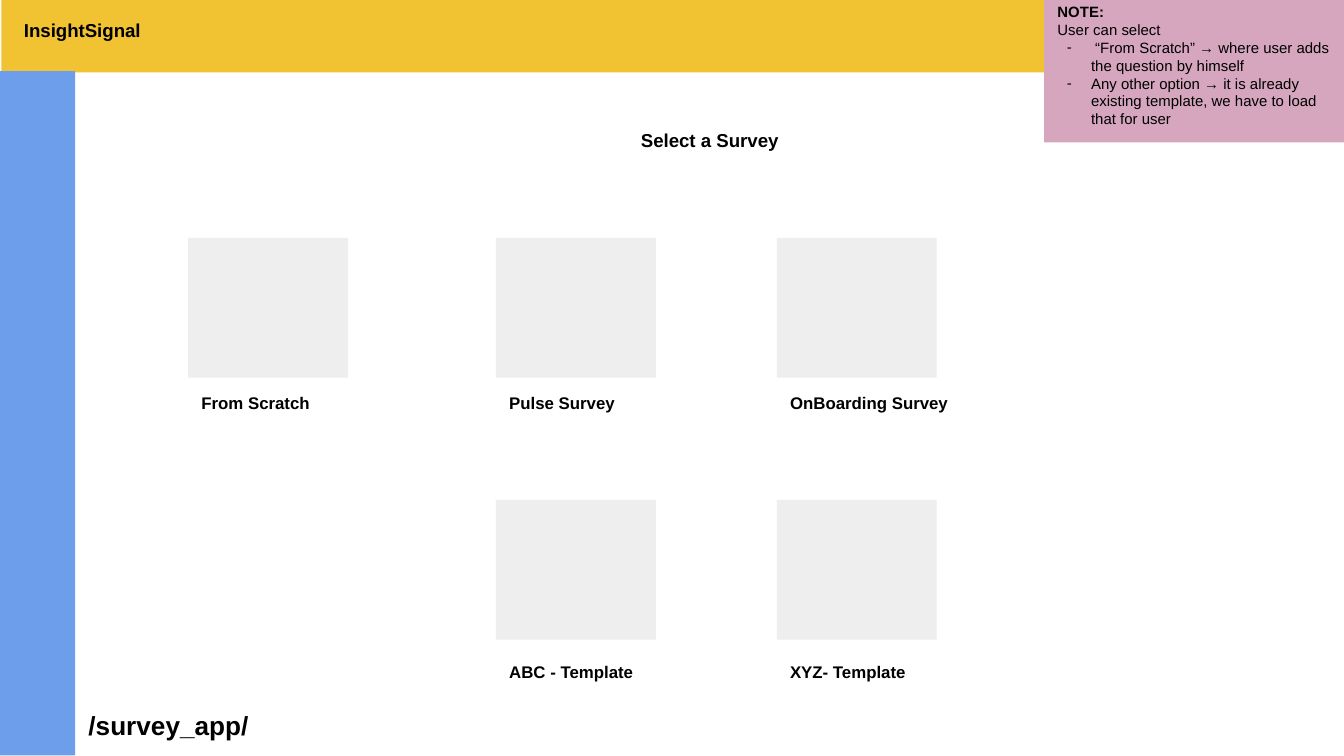
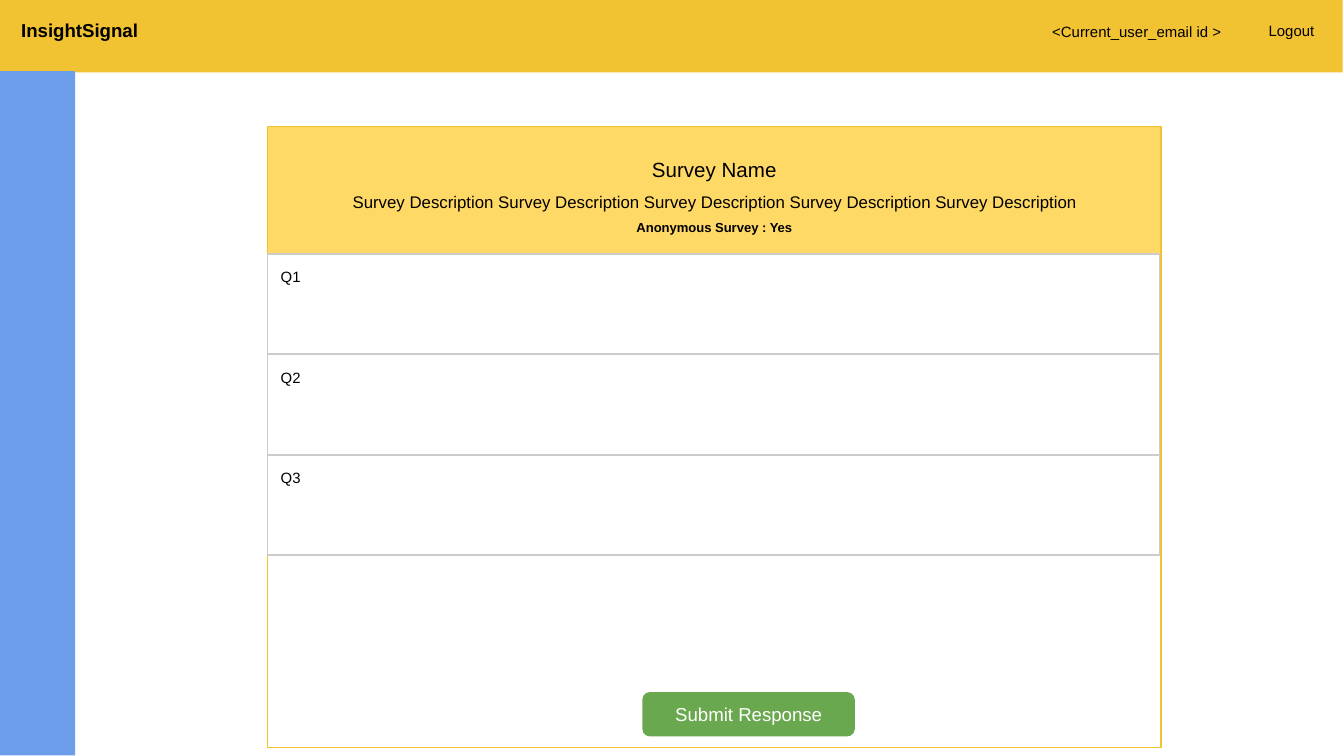
"""Build the two survey wireframe slides: template choice and response form."""
from dataclasses import dataclass

from lxml.etree import SubElement
from pptx import Presentation
from pptx.dml.color import RGBColor
from pptx.enum.shapes import MSO_SHAPE
from pptx.enum.text import MSO_ANCHOR, MSO_AUTO_SIZE, PP_ALIGN
from pptx.oxml.ns import qn
from pptx.util import Inches, Pt


@dataclass(frozen=True)
class Theme:
    font: str = "Arial"
    text: str = "000000"
    inverse_text: str = "FFFFFF"
    top_band: str = "F1C232"
    side_band: str = "6D9EEB"
    card: str = "EEEEEE"
    note: str = "D5A6BD"
    survey_header: str = "FFD966"
    question_line: str = "CCCCCC"
    button: str = "6AA84F"
    line_width: float = 0.75
    route_size: int = 14
    survey_size: int = 11
    heading_size: int = 10
    caption_size: int = 9
    body_size: int = 8
    detail_size: int = 7


@dataclass(frozen=True)
class Line:
    text: str
    size: int
    bold: bool = False
    bullet: bool = False


class SlideBuilder:
    def __init__(self, theme):
        self.theme = theme
        self.presentation = Presentation()
        self.presentation.slide_width = Inches(10)
        self.presentation.slide_height = Inches(10) * 9 // 16
        self.slide = None

    def start_slide(self):
        self.slide = self.presentation.slides.add_slide(self.presentation.slide_layouts[5])

    def add_frame(self, band_left):
        self.add_box((band_left, -0.02, 10, 0.56), fill=self.theme.top_band)
        self.add_text((band_left + 0.07, 0.04, 1.43, 0.37),
                      [Line("InsightSignal", self.theme.heading_size, bold=True)])
        self.add_box((0, 0.53, 0.56, 5.09), fill=self.theme.side_band)

    def add_box(self, box, fill=None, line=None, kind=MSO_SHAPE.RECTANGLE):
        shape = self.slide.shapes.add_shape(kind, *map(Inches, box))
        shape.shadow.inherit = False
        self.paint(shape, fill, line)
        return shape

    def paint(self, shape, fill=None, line=None):
        if fill:
            shape.fill.solid()
            shape.fill.fore_color.rgb = RGBColor.from_string(fill)
        else:
            shape.fill.background()
        if line:
            shape.line.color.rgb = RGBColor.from_string(line)
            shape.line.width = Pt(self.theme.line_width)
        else:
            shape.line.fill.background()

    def add_text(self, box, lines, **style):
        shape = self.slide.shapes.add_textbox(*map(Inches, box))
        self.set_lines(shape, lines, **style)

    def set_title(self, box, lines, fill=None, **style):
        title = self.slide.shapes.title
        title.left, title.top, title.width, title.height = map(Inches, box)
        self.paint(title, fill)
        self.set_lines(title, lines, align=PP_ALIGN.CENTER, **style)

    def set_lines(self, shape, lines, align=PP_ALIGN.LEFT, anchor=MSO_ANCHOR.TOP,
                  color=None, spacing=1.0):
        frame = shape.text_frame
        frame.word_wrap = True
        frame.auto_size = MSO_AUTO_SIZE.NONE
        frame.vertical_anchor = anchor
        frame.margin_left = frame.margin_right = Inches(0.1)
        frame.margin_top = frame.margin_bottom = Inches(0.1)
        for index, line in enumerate(lines):
            paragraph = frame.add_paragraph() if index else frame.paragraphs[0]
            paragraph.text = line.text
            paragraph.alignment = align
            paragraph.line_spacing = spacing
            if line.bullet:
                self.add_bullet(paragraph)
            paragraph.font.name = self.theme.font
            paragraph.font.size = Pt(line.size)
            paragraph.font.bold = line.bold
            paragraph.font.color.rgb = RGBColor.from_string(color or self.theme.text)

    def add_bullet(self, paragraph):
        properties = paragraph._p.get_or_add_pPr()
        properties.set("marL", str(Inches(0.25)))
        properties.set("indent", str(Inches(-0.18)))
        SubElement(properties, qn("a:buFont")).set("typeface", self.theme.font)
        SubElement(properties, qn("a:buChar")).set("char", "-")


def build_survey_choice(builder):
    theme = builder.theme
    builder.start_slide()
    builder.add_frame(band_left=0.01)
    builder.set_title((0.56, 0.86, 9.44, 0.37),
                      [Line("Select a Survey", theme.heading_size, bold=True)])

    columns = (1.4, 3.69, 5.78)
    rows = (
        (1.77, 2.82, ("From Scratch", "Pulse Survey", "OnBoarding Survey")),
        (3.72, 4.82, (None, "ABC - Template", "XYZ- Template")),
    )
    for card_top, caption_top, names in rows:
        for left, name in zip(columns, names):
            if name:
                builder.add_box((left, card_top, 1.19, 1.04), fill=theme.card)
                builder.add_text((left, caption_top, 1.38, 0.35),
                                 [Line(name, theme.caption_size, bold=True)])

    note = builder.add_box((7.77, -0.08, 2.24, 1.14), fill=theme.note)
    builder.set_lines(note, [
        Line("NOTE:", theme.body_size, bold=True),
        Line("User can select", theme.body_size),
        Line(" “From Scratch” → where user adds the question by himself",
             theme.body_size, bullet=True),
        Line("Any other option → it is already existing template, "
             "we have to load that for user", theme.body_size, bullet=True),
    ])
    builder.add_text((0.56, 5.18, 4.85, 0.44),
                     [Line("/survey_app/", theme.route_size, bold=True)])


def build_survey_response(builder):
    theme = builder.theme
    builder.start_slide()
    builder.add_frame(band_left=-0.01)
    builder.add_text((9.34, 0.06, 0.65, 0.34), [Line("Logout", theme.body_size)])
    builder.add_text((7.73, 0.07, 1.61, 0.34),
                     [Line("<Current_user_email id >", theme.body_size)])

    form_left, form_top, form_width = 1.99, 0.94, 6.65
    builder.set_title((form_left, form_top, form_width, 0.95), [
        Line("Survey Name", theme.survey_size),
        Line(" ".join(["Survey Description"] * 5), theme.caption_size),
        Line("Anonymous Survey : Yes", theme.detail_size, bold=True),
    ], fill=theme.survey_header, anchor=MSO_ANCHOR.MIDDLE, spacing=1.5)
    builder.add_box((form_left, form_top, form_width, 4.62), line=theme.top_band)

    for index in range(3):
        question = builder.add_box((form_left, 1.89 + index * 0.75, 6.64, 0.74),
                                   line=theme.question_line)
        builder.set_lines(question, [Line(f"Q{index + 1}", theme.body_size)])

    button = builder.add_box((4.78, 5.15, 1.58, 0.33), fill=theme.button,
                             kind=MSO_SHAPE.ROUNDED_RECTANGLE)
    builder.set_lines(button, [Line("Submit Response", theme.heading_size)],
                      align=PP_ALIGN.CENTER, anchor=MSO_ANCHOR.MIDDLE,
                      color=theme.inverse_text)


def main():
    builder = SlideBuilder(Theme())
    build_survey_choice(builder)
    build_survey_response(builder)
    builder.presentation.save("out.pptx")


if __name__ == "__main__":
    main()
